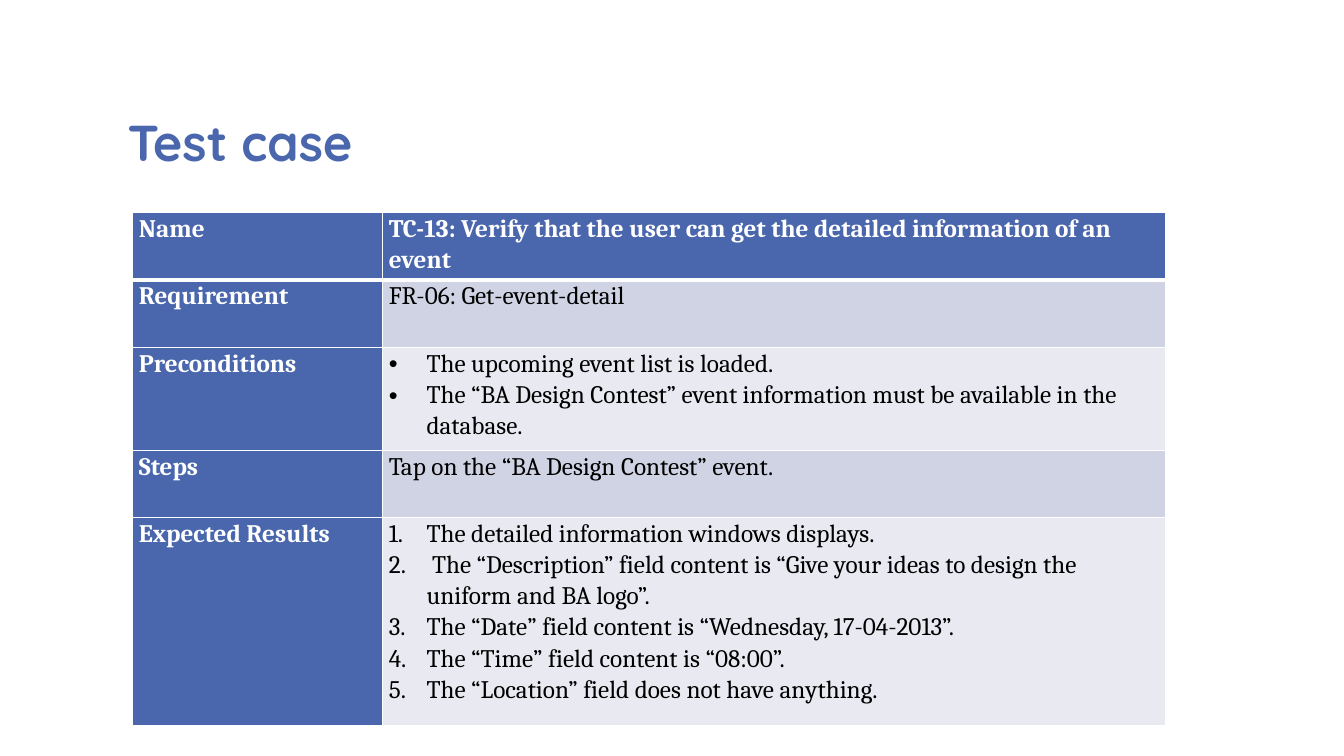
from dataclasses import dataclass

from lxml.etree import SubElement
from pptx import Presentation
from pptx.dml.color import RGBColor
from pptx.enum.text import MSO_ANCHOR
from pptx.oxml.ns import qn
from pptx.util import Cm, Pt

BLUE = RGBColor(0x4A, 0x66, 0xAC)
WHITE = RGBColor(0xFF, 0xFF, 0xFF)
BLACK = RGBColor(0, 0, 0)
BAND_DARK = RGBColor(0xD0, 0xD3, 0xE3)
BAND_LIGHT = RGBColor(0xE9, 0xEA, 0xF1)
INDENT = Cm(0.95)


@dataclass
class Row:
    label: str
    lines: list[str]
    height: float
    marker: str = ""


ROWS = [
    Row("Name", ["TC-13: Verify that the user can get the detailed information of an event"], 1.7),
    Row("Requirement", ["FR-06: Get-event-detail"], 1.7),
    Row("Preconditions", [
        "The upcoming event list is loaded.",
        "The “BA Design Contest” event information must be available in the database.",
    ], 2.59, "bullet"),
    Row("Steps", ["Tap on the “BA Design Contest” event."], 1.7),
    Row("Expected Results", [
        "The detailed information windows displays.",
        " The “Description” field content is “Give your ideas to design the uniform and BA logo”.",
        "The “Date” field content is “Wednesday, 17-04-2013”.",
        "The “Time” field content is “08:00”.",
        "The “Location” field does not have anything.",
    ], 5.23, "number"),
]


def add_run(p, text: str, font: str, size: int, color: RGBColor, bold: bool) -> None:
    r = p.add_run()
    r.text = text
    r.font.name = font
    r.font.size = Pt(size)
    r.font.color.rgb = color
    r.font.bold = bold


def add_marker(p, marker: str) -> None:
    pPr = p._p.get_or_add_pPr()
    pPr.set("marL", str(INDENT))
    pPr.set("indent", str(-INDENT))
    if marker == "bullet":
        SubElement(pPr, qn("a:buFont"), typeface="Arial")
        SubElement(pPr, qn("a:buChar"), char="•")
    else:
        SubElement(pPr, qn("a:buAutoNum"), type="arabicPeriod")


def set_borders(cell, top: int, bottom: int) -> None:
    tcPr = cell._tc.get_or_add_tcPr()
    for i, (side, width) in enumerate(zip("LRTB", (1, 1, top, bottom))):
        ln = SubElement(tcPr, qn(f"a:ln{side}"), w=str(Pt(width)))
        fill = SubElement(ln, qn("a:solidFill"))
        SubElement(fill, qn("a:srgbClr"), val=str(WHITE))
        tcPr.insert(i, ln)


def fill_cell(cell, lines: list[str], fill: RGBColor, color: RGBColor,
              bold: bool, marker: str = "") -> None:
    cell.margin_left = cell.margin_right = Cm(0.17)
    cell.margin_top = cell.margin_bottom = 0
    cell.fill.solid()
    cell.fill.fore_color.rgb = fill
    tf = cell.text_frame
    for i, line in enumerate(lines):
        p = tf.add_paragraph() if i else tf.paragraphs[0]
        p.line_spacing = 1.07
        if marker:
            add_marker(p, marker)
        add_run(p, line, "Cambria", 18, color, bold)


prs = Presentation()
prs.slide_width, prs.slide_height = Cm(33.87), Cm(19.05)
s = prs.slides.add_slide(prs.slide_layouts[6])

title = s.shapes.add_textbox(Cm(2.97), Cm(1.47), Cm(24.13), Cm(2.97))
tf = title.text_frame
tf.word_wrap = True
tf.vertical_anchor = MSO_ANCHOR.BOTTOM
p = tf.paragraphs[0]
p.line_spacing = 0.8
add_run(p, "Test case", "Quicksand", 36, BLUE, True)

widths = (6.3, 19.74)
frame = s.shapes.add_table(len(ROWS), len(widths), Cm(3.33), Cm(5.36),
                           Cm(sum(widths)), Cm(sum(row.height for row in ROWS)))
table = frame.table
table.first_row = table.horz_banding = False
for column, width in zip(table.columns, widths):
    column.width = Cm(width)

for i, row in enumerate(ROWS):
    table.rows[i].height = Cm(row.height)
    label, value = table.cell(i, 0), table.cell(i, 1)
    header = i == 0
    band = BAND_DARK if i % 2 else BAND_LIGHT
    fill_cell(label, [row.label], BLUE, WHITE, True)
    fill_cell(value, row.lines, BLUE if header else band,
              WHITE if header else BLACK, header, row.marker)
    for cell in (label, value):
        set_borders(cell, 3 if i == 1 else 1, 3 if header else 1)

prs.save("out.pptx")
